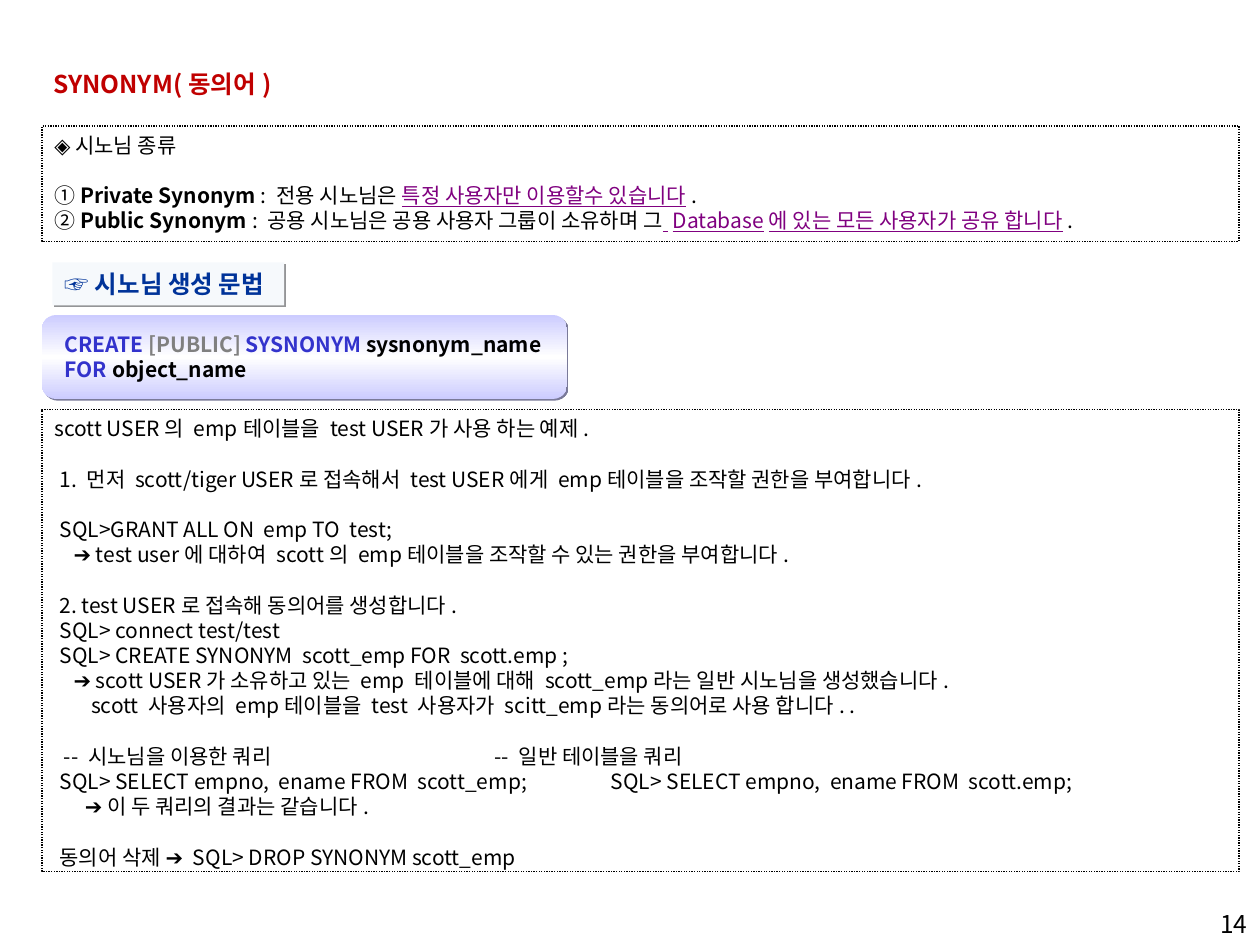
from copy import deepcopy
from dataclasses import dataclass

from lxml import etree
from pptx import Presentation
from pptx.dml.color import RGBColor
from pptx.enum.dml import MSO_LINE
from pptx.enum.shapes import MSO_SHAPE
from pptx.enum.text import MSO_ANCHOR, PP_ALIGN
from pptx.oxml.ns import qn
from pptx.util import Pt

RECT, ROUND = MSO_SHAPE.RECTANGLE, MSO_SHAPE.ROUNDED_RECTANGLE
LEFT, RIGHT = PP_ALIGN.LEFT, PP_ALIGN.RIGHT
TOP, DOTS = MSO_ANCHOR.TOP, MSO_LINE.ROUND_DOT

BLACK = RGBColor(0x00, 0x00, 0x00)
WHITE = RGBColor(0xFF, 0xFF, 0xFF)
RED = RGBColor(0xC0, 0x00, 0x00)
PURPLE = RGBColor(0x80, 0x00, 0x80)
NAVY = RGBColor(0x00, 0x33, 0x99)
BLUE = RGBColor(0x33, 0x33, 0xCC)
GRAY = RGBColor(0x80, 0x80, 0x80)
PALE = RGBColor(0xF6, 0xF9, 0xFC)
LILAC = RGBColor(0xCC, 0xCC, 0xFF)
PALE_SHADE = RGBColor(0x94, 0x95, 0x97)
LILAC_SHADE = RGBColor(0x7A, 0x7A, 0x99)

FACE, SIGN = "Noto Sans CJK KR", "Arial"
PITCH = 1.2  # line height over text size
GAP = 14.4   # one empty line


@dataclass
class Run:
    text: str
    color: RGBColor | None = None
    bold: bool | None = None
    under: bool | None = None
    face: str | None = None


@dataclass
class Line:
    runs: list[Run]
    gap: float = 0
    indent: float = 0
    tab: float = 0


@dataclass
class Box:
    left: float
    top: float
    width: float
    height: float


def plain(text: str, gap: float = 0, indent: float = 3, tab: float = 0) -> Line:
    return Line([Run(text)], gap, indent, tab)


def arrow(text: str, indent: float) -> Line:
    return Line([Run("➔", face=SIGN), Run(" " + text)], indent=indent)


def write(shape, lines: list[Line], size: float = 12, color: RGBColor = BLACK,
          bold: bool = False, wrap: bool = True, align=LEFT) -> None:
    frame = shape.text_frame
    frame.word_wrap = wrap
    frame.vertical_anchor = TOP
    for i, line in enumerate(lines):
        para = frame.paragraphs[0] if i == 0 else frame.add_paragraph()
        para.alignment = align
        para.line_spacing = Pt(size * PITCH)
        if line.gap:
            para.space_before = Pt(line.gap)
        props = para._p.get_or_add_pPr()
        if line.indent:
            props.set("marL", str(Pt(line.indent)))
        if line.tab:
            tabs = etree.SubElement(props, qn("a:tabLst"))
            etree.SubElement(tabs, qn("a:tab"), pos=str(Pt(line.tab)), algn="l")
        font = para.font
        font.size, font.name, font.bold = Pt(size), FACE, bold
        font.color.rgb = color
        east = etree.SubElement(props.find(qn("a:defRPr")), qn("a:ea"))
        east.set("typeface", FACE)
        for part in line.runs:
            run = para.add_run()
            run.text = part.text
            if part.color is not None:
                run.font.color.rgb = part.color
            if part.bold is not None:
                run.font.bold = part.bold
            if part.under is not None:
                run.font.underline = part.under
            if part.face is not None:
                run.font.name = part.face


def text(slide, box: Box):
    return slide.shapes.add_textbox(
        Pt(box.left), Pt(box.top), Pt(box.width), Pt(box.height))


def panel(slide, box: Box, kind=RECT):
    shape = slide.shapes.add_shape(
        kind, Pt(box.left), Pt(box.top), Pt(box.width), Pt(box.height))
    shape.shadow.inherit = False
    shape.fill.background()
    shape.line.fill.background()
    return shape


def frame(slide, box: Box):
    shape = panel(slide, box)
    shape.line.color.rgb = BLACK
    shape.line.width = Pt(0.75)
    shape.line.dash_style = DOTS
    return shape


def shade(shape, color: RGBColor) -> None:
    effects = shape._element.spPr.find(qn("a:effectLst"))
    drop = etree.SubElement(effects, qn("a:outerShdw"), blurRad="0",
                            dist=str(Pt(1.4)), dir="2700000", algn="ctr",
                            rotWithShape="0")
    etree.SubElement(drop, qn("a:srgbClr"), val=str(color))


def blend(shape, colors: list[RGBColor]) -> None:
    shape.fill.gradient()
    shape.fill.gradient_angle = 90
    stops = shape._element.spPr.find(".//" + qn("a:gsLst"))
    stops.append(deepcopy(stops[0]))
    for i, (stop, color) in enumerate(zip(shape.fill.gradient_stops, colors)):
        stop.position = i / (len(colors) - 1)
        stop.color.rgb = color


KINDS = [
    plain("◈ 시노님 종류", indent=0),
    Line([Run("① "), Run("Private Synonym ", bold=True), Run(": 전용 시노님은 "),
          Run("특정 사용자만 이용할수 있습니다", PURPLE, under=True), Run(".")], GAP),
    Line([Run("② "), Run("Public Synonym ", bold=True),
          Run(": 공용 시노님은 공용 사용자 그룹이 소유하며 그"),
          Run(" Database에 있는 모든 사용자가 공유 합니다", PURPLE, under=True),
          Run(".")]),
]
SYNTAX = [
    Line([Run("CREATE ", BLUE), Run("[PUBLIC]", GRAY), Run(" SYSNONYM ", BLUE),
          Run("sysnonym_name")]),
    Line([Run("FOR ", BLUE), Run("object_name")]),
]
SAMPLE = [
    plain("scott USER의 emp테이블을 test USER가 사용 하는 예제.", indent=0),
    plain("1. 먼저 scott/tiger USER로 접속해서 test USER에게 emp테이블을 "
          "조작할 권한을 부여합니다.", GAP),
    plain("SQL>GRANT ALL ON  emp TO  test;", GAP),
    arrow("test user에 대하여 scott의 emp테이블을 조작할 수 있는 권한을 부여합니다.", 11),
    plain("2. test USER로 접속해 동의어를 생성합니다.", GAP),
    plain("SQL> connect test/test"),
    plain("SQL> CREATE SYNONYM  scott_emp FOR  scott.emp ;"),
    arrow("scott USER가 소유하고 있는 emp 테이블에 대해 scott_emp라는 "
          "일반 시노님을 생성했습니다.", 11),
    plain("scott 사용자의 emp테이블을 test 사용자가 scitt_emp라는 동의어로 "
          "사용 합니다. .", indent=21),
    plain("-- 시노님을 이용한 쿼리\t-- 일반 테이블을 쿼리", GAP, 5.5, 246),
    plain("SQL> SELECT empno,  ename FROM  scott_emp;\t"
          "SQL> SELECT empno,  ename FROM  scott.emp;", tab=315),
    arrow("이 두 쿼리의 결과는 같습니다.", 17.5),
    Line([Run("동의어 삭제 "), Run("➔ ", face=SIGN),
          Run("SQL> DROP SYNONYM scott_emp")], GAP, 3),
]


def main() -> None:
    deck = Presentation()
    deck.slide_width, deck.slide_height = Pt(720), Pt(540)
    slide = deck.slides.add_slide(deck.slide_layouts[6])

    # Page number and title
    write(text(slide, Box(570, 516, 150, 36)), [plain("14", indent=0)], 14,
          align=RIGHT)
    write(text(slide, Box(23.3, 36, 142, 24.5)),
          [plain("SYNONYM(동의어)", indent=0)], 14, RED, True, False)

    # Kinds of synonym
    write(frame(slide, Box(24, 72, 684, 66)), KINDS)

    # Syntax heading
    head = panel(slide, Box(30, 150, 132.5, 24.5))
    head.fill.solid()
    head.fill.fore_color.rgb = PALE
    shade(head, PALE_SHADE)
    write(head, [plain("☞ 시노님 생성 문법", indent=0)], 14, NAVY, True, False)

    # Syntax card
    card = panel(slide, Box(24, 180, 300, 48), ROUND)
    blend(card, [LILAC, WHITE, LILAC])
    shade(card, LILAC_SHADE)
    write(text(slide, Box(30, 186, 294, 36)), SYNTAX, bold=True)

    # Worked example
    write(frame(slide, Box(24, 234, 684, 264)), SAMPLE)

    deck.save("out.pptx")


if __name__ == "__main__":
    main()
